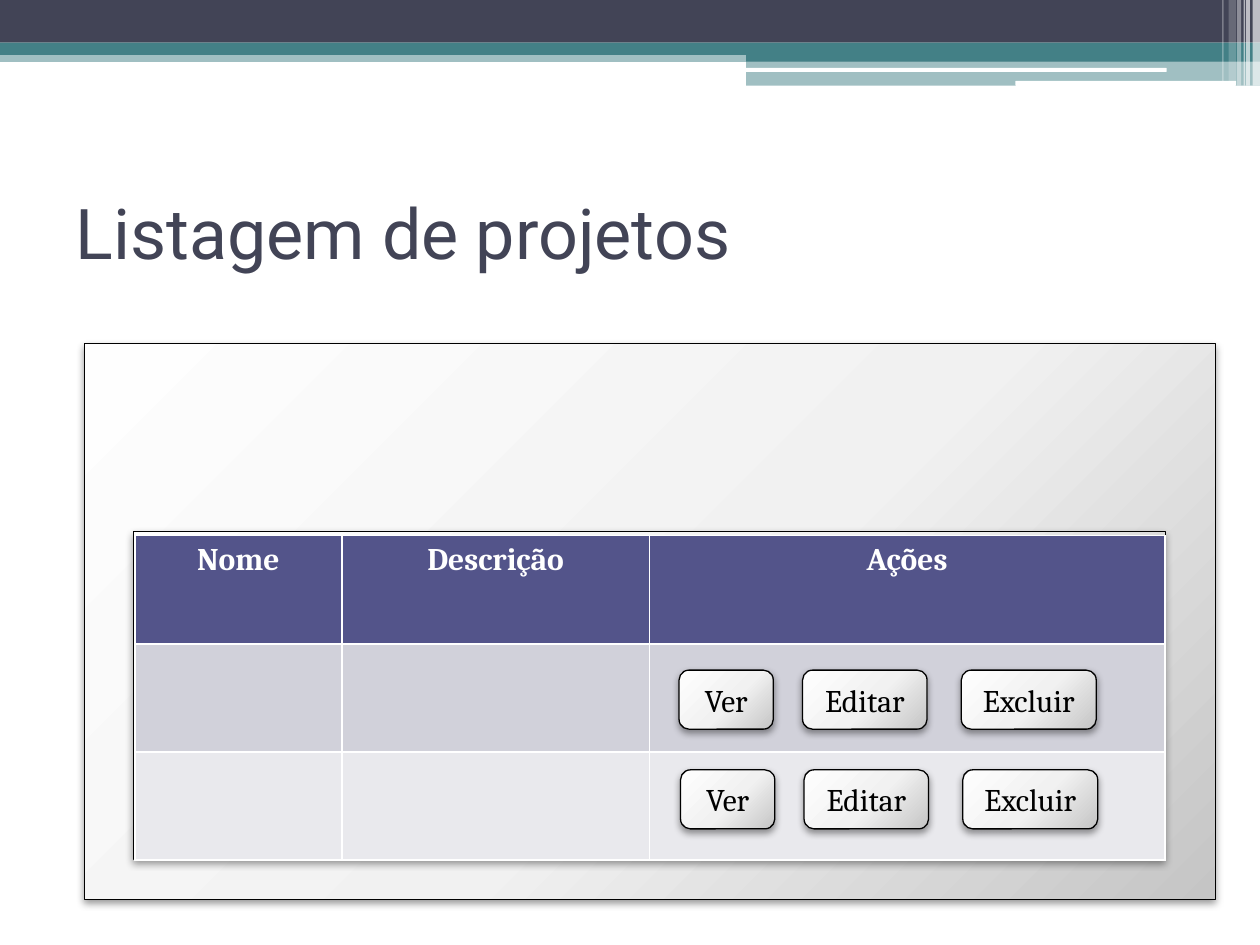
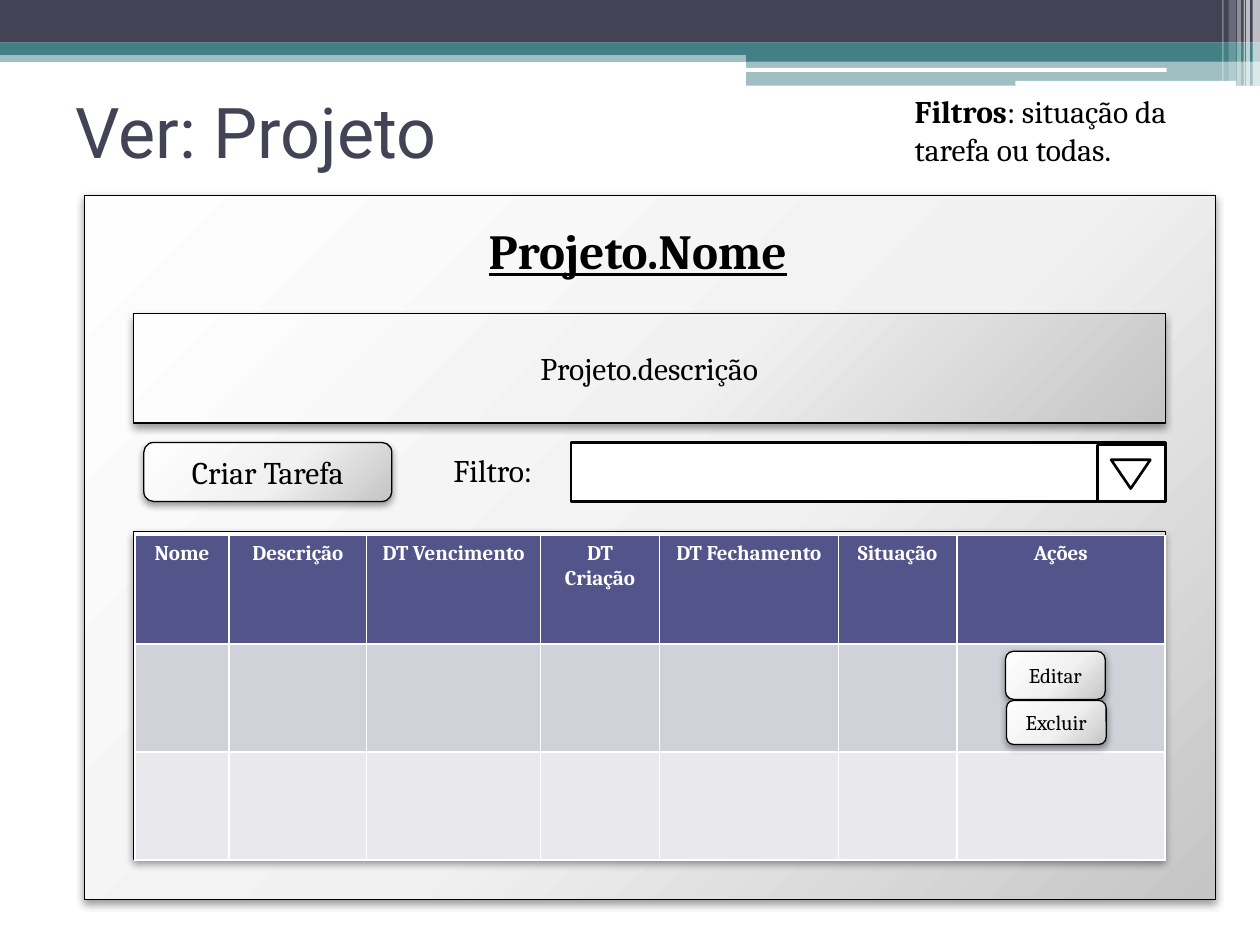
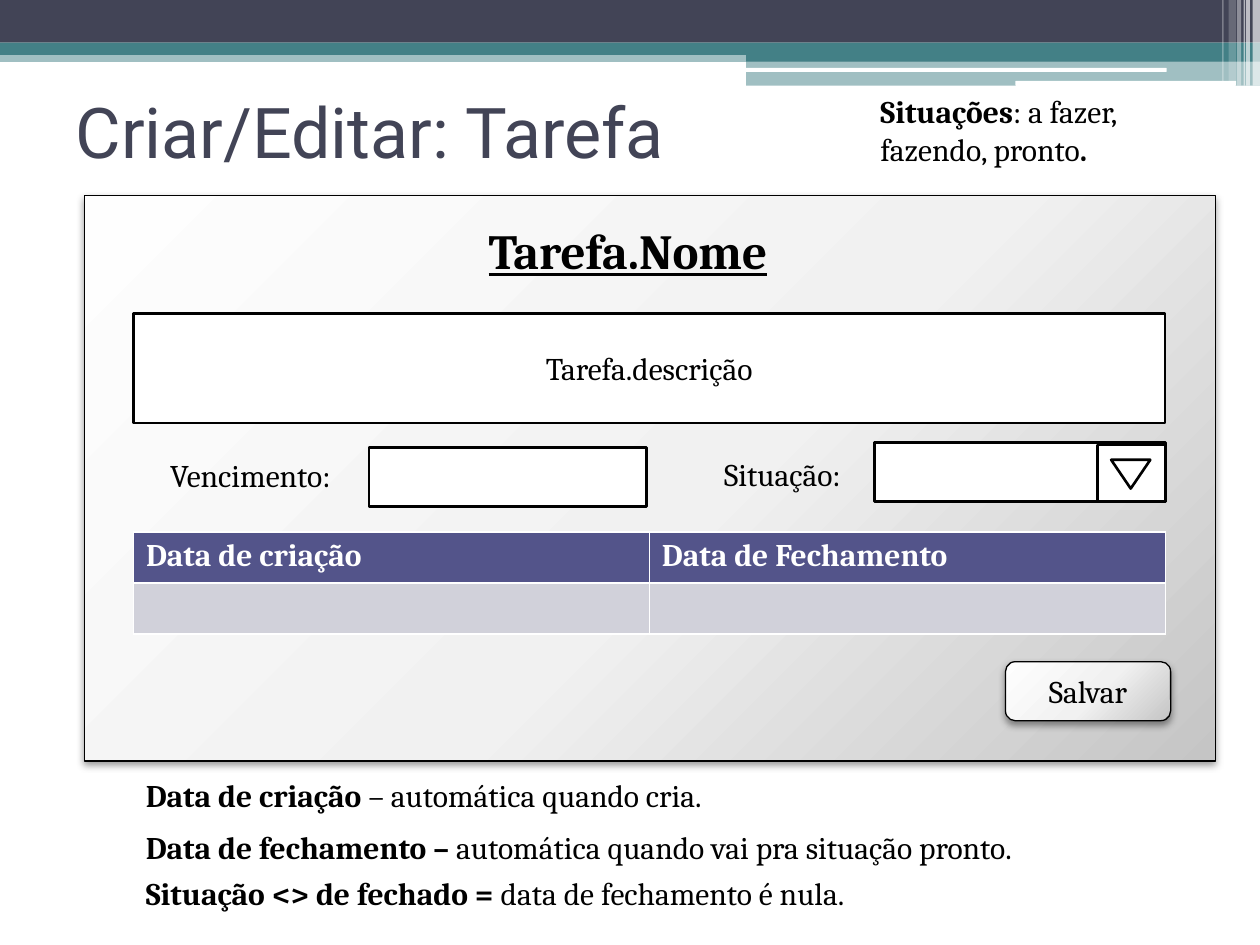
"""Build three wireframe slides for a project and task tracker."""
from lxml.etree import SubElement
from pptx import Presentation
from pptx.dml.color import RGBColor
from pptx.enum.shapes import MSO_SHAPE
from pptx.enum.text import MSO_ANCHOR, MSO_AUTO_SIZE, PP_ALIGN
from pptx.oxml.ns import qn
from pptx.util import Cm, Pt

BLACK = RGBColor(0x00, 0x00, 0x00)
WHITE = RGBColor(0xFF, 0xFF, 0xFF)
SLATE = RGBColor(0x42, 0x44, 0x56)
TEAL = RGBColor(0x43, 0x80, 0x86)
HEAD = RGBColor(0x53, 0x54, 0x8A)
ROWS = (RGBColor(0xD1, 0xD1, 0xDA), RGBColor(0xE9, 0xE9, 0xED))
SHEEN = ((0, "FEFEFE"), (55, "F1F1F1"), (100, "C5C5C5"))
FOCUS = {"l": -40, "t": -90, "r": 140, "b": 190}
BODY, TITLE = "Cambria", "Roboto"
RECT, ROUND = MSO_SHAPE.RECTANGLE, MSO_SHAPE.ROUNDED_RECTANGLE

WIDE, LEFT, RIGHT = 25.4, 2.69, 23.5
TALL = 1.19
BANDS = [
    (RECT, (0, 1.02, WIDE, 0.23), TEAL, 50),
    (RECT, (0, 0, WIDE, 0.86), SLATE, 100),
    (RECT, (0, 0.86, WIDE, 0.25), TEAL, 100),
    (RECT, (15.04, 0.99, 10.36, 0.25), TEAL, 100),
    (RECT, (15.04, 1.22, 10.36, 0.51), TEAL, 50),
    (ROUND, (15.01, 1.37, 8.51, 0.08), WHITE, 100),
    (ROUND, (20.47, 1.63, 4.45, 0.1), WHITE, 100),
]
STRIPES = [
    (25.25, 0.15, 1.73, 65), (25.12, 0.08, 1.73, 65),
    (25.07, 0.03, 1.73, 60), (24.94, 0.08, 1.73, 40),
    (24.77, 0.15, 1.63, 20), (24.64, 0.03, 1.63, 30),
]
BANDS += [(RECT, (x, 0, w, h), WHITE, a) for x, w, h, a in STRIPES]

ACTIONS = [("Ver", 13.69, 1.9), ("Editar", 16.18, 2.51), ("Excluir", 19.38, 2.72)]
STARTS = [(0, 13.51), (0.03, 15.52)]
FRAME = (LEFT, 10.72, 20.8, 6.6)
ABOUT = (LEFT, 6.32, 20.8, 2.21)

SLIDES = [
    ("Listagem de projetos", 3.18, [
        ("panel", (1.7, 6.93, 22.81, 11.2)),
        ("panel", FRAME),
        ("grid", (2.72, 10.8), ["Nome", "Descrição", "Ações"],
         [4.17, 6.2, 10.39], [2.18] * 3, 18, PP_ALIGN.CENTER),
        *[("button", (x + dx, y, w, TALL), word)
          for dx, y in STARTS for word, x, w in ACTIONS],
    ]),
    ("Ver: Projeto", 1.14, [
        ("panel", (1.7, 3.94, 22.81, 14.2)),
        ("panel", FRAME),
        ("grid", (2.72, 10.8),
         ["Nome", "Descrição", "DT Vencimento", "DT Criação",
          "DT Fechamento", "Situação", "Ações"],
         [1.9, 2.77, 3.51, 2.39, 3.61, 2.39, 4.19], [2.18] * 3, 12,
         PP_ALIGN.CENTER),
        ("heading", (9.6, 4.32, 7.7, 1.45), "Projeto.Nome"),
        ("panel", ABOUT, "Projeto.descrição"),
        ("button", (2.9, 8.92, 5, TALL), "Criar Tarefa"),
        ("combo", 11.99),
        ("label", (8.89, 8.97, 2.29, 1.02), [("Filtro:", False)]),
        ("note", (18.19, 1.73, 6.25, 1.8),
         [("Filtros", True), (": situação da tarefa ou todas.", False)]),
        ("button", (20.27, 13.13, 2.01, 0.97), "Editar", 12),
        ("button", (20.29, 14.12, 2.01, 0.89), "Excluir", 12),
    ]),
    ("Criar/Editar: Tarefa", 1.14, [
        ("panel", (1.7, 3.94, 22.81, 11.4)),
        ("heading", (9.6, 4.32, 7.24, 1.45), "Tarefa.Nome"),
        ("field", ABOUT, "Tarefa.descrição"),
        ("button", (20.27, 13.34, 3.33, TALL), "Salvar"),
        ("combo", 5.87),
        ("label", (14.35, 9.04, 3.15, 1.02), [("Situação:", False)]),
        ("note", (17.5, 1.73, 6.93, 1.8),
         [("Situações", True), (": a fazer, fazendo, pronto", False), (".", True)]),
        ("grid", (LEFT, 10.72), ["Data de criação", "Data de Fechamento"],
         [10.4] * 2, [1.03] * 2, 18, PP_ALIGN.LEFT),
        ("field", (7.44, 9.02, 5.59, TALL)),
        ("label", (3.18, 9.07, 4.14, 1.02), [("Vencimento:", False)]),
        ("label", (LEFT, 15.52, 13.23, 1.02),
         [("Data de criação ", True), ("– automática quando cria.", False)]),
        ("label", (LEFT, 16.56, 20.19, 1.02),
         [("Data de fechamento – ", True),
          ("automática quando vai pra situação pronto.", False)]),
        ("label", (LEFT, 17.5, 16.56, 1.02),
         [("Situação <> de fechado = ", True),
          ("data de fechamento é nula.", False)]),
    ]),
]


def place(box):
    return [Cm(n) for n in box]


def write(para, text, size=18, color=BLACK, name=BODY, **more):
    run = para.add_run()
    run.text = text
    run.font.color.rgb = color
    for key, value in {"size": Pt(size), "name": name, **more}.items():
        setattr(run.font, key, value)


def solid(slide, kind, box, color, alpha=100):
    shape = slide.shapes.add_shape(kind, *place(box))
    shape.shadow.inherit = False
    shape.fill.solid()
    shape.fill.fore_color.rgb = color
    shape.line.fill.background()
    if alpha < 100:
        tint = shape.element.spPr.find(".//" + qn("a:srgbClr"))
        SubElement(tint, qn("a:alpha"), val=str(alpha * 1000))
    return shape


def edge(shape, width):
    shape.line.color.rgb = BLACK
    shape.line.width = Pt(width)


def center(shape, text, size):
    if text:
        shape.text_frame.vertical_anchor = MSO_ANCHOR.MIDDLE
        para = shape.text_frame.paragraphs[0]
        para.alignment = PP_ALIGN.CENTER
        write(para, text, size)


def panel(slide, box, text="", size=18, kind=RECT):
    shape = solid(slide, kind, box, WHITE)
    edge(shape, 0.75)
    props = shape.element.spPr
    flat = props.find(qn("a:solidFill"))
    grad = SubElement(props, qn("a:gradFill"), rotWithShape="1")
    stops = SubElement(grad, qn("a:gsLst"))
    for pos, tone in SHEEN:
        stop = SubElement(stops, qn("a:gs"), pos=str(pos * 1000))
        SubElement(stop, qn("a:srgbClr"), val=tone)
    ring = SubElement(grad, qn("a:path"), {"path": "circle"})
    SubElement(ring, qn("a:fillToRect"),
               {side: str(n * 1000) for side, n in FOCUS.items()})
    props.replace(flat, grad)
    glow = SubElement(props.find(qn("a:effectLst")), qn("a:outerShdw"),
                      blurRad=str(Pt(4.1)), dist=str(Pt(2)), dir="5400000",
                      rotWithShape="0")
    tint = SubElement(glow, qn("a:srgbClr"), val=str(BLACK))
    SubElement(tint, qn("a:alpha"), val="40000")
    center(shape, text, size)


def button(slide, box, text, size=18):
    panel(slide, box, text, size, ROUND)


def field(slide, box, text="", kind=RECT):
    shape = solid(slide, kind, box, WHITE)
    edge(shape, 1.5)
    center(shape, text, 18)


def combo(slide, width):
    field(slide, (RIGHT - width, 8.92, width, TALL))
    field(slide, (RIGHT - 1.37, 8.97, 1.37, 1.14))
    field(slide, (22.4, 9.27, 0.79, 0.58), kind=MSO_SHAPE.FLOWCHART_MERGE)


def label(slide, box, runs, wrap=False, **more):
    frame = slide.shapes.add_textbox(*place(box)).text_frame
    frame.word_wrap = wrap
    frame.auto_size = MSO_AUTO_SIZE.SHAPE_TO_FIT_TEXT
    for text, bold in runs:
        write(frame.paragraphs[0], text, bold=bold, **more)


def note(slide, box, runs):
    label(slide, box, runs, wrap=True)


def heading(slide, box, text):
    label(slide, box, [(text, True)], size=28, underline=True)


def grid(slide, spot, heads, cols, rows, size, align):
    box = (*spot, sum(cols), sum(rows))
    table = slide.shapes.add_table(len(rows), len(cols), *place(box)).table
    for col, width in zip(table.columns, cols):
        col.width = Cm(width)
    for i, height in enumerate(rows):
        table.rows[i].height = Cm(height)
        for j, text in enumerate(heads):
            cell = table.cell(i, j)
            cell.fill.solid()
            cell.fill.fore_color.rgb = ROWS[(i - 1) % 2] if i else HEAD
            if i == 0:
                para = cell.text_frame.paragraphs[0]
                para.alignment = align
                write(para, text, size, WHITE, bold=True)


def title(slide, text, top):
    shape = slide.shapes.title
    spot = dict(zip(("left", "top", "width", "height"),
                    place((1.27, top, 22.86, 2.97))))
    for key, value in spot.items():
        setattr(shape, key, value)
    shape.text_frame.vertical_anchor = MSO_ANCHOR.MIDDLE
    para = shape.text_frame.paragraphs[0]
    para.alignment = PP_ALIGN.LEFT
    write(para, text, 40, SLATE, TITLE)


def dress(deck, slide):
    tree = deck.slide_master.element.cSld.spTree
    for i, band in enumerate(BANDS):
        tree.insert(2 + i, solid(slide, *band).element)


DRAW = {"panel": panel, "button": button, "field": field, "combo": combo,
        "label": label, "note": note, "heading": heading, "grid": grid}

deck = Presentation()
deck.slide_width, deck.slide_height = Cm(WIDE), Cm(19.05)
for name, top, parts in SLIDES:
    slide = deck.slides.add_slide(deck.slide_layouts[5])
    if len(deck.slides) == 1:
        dress(deck, slide)
    title(slide, name, top)
    for kind, *args in parts:
        DRAW[kind](slide, *args)
deck.save("out.pptx")
